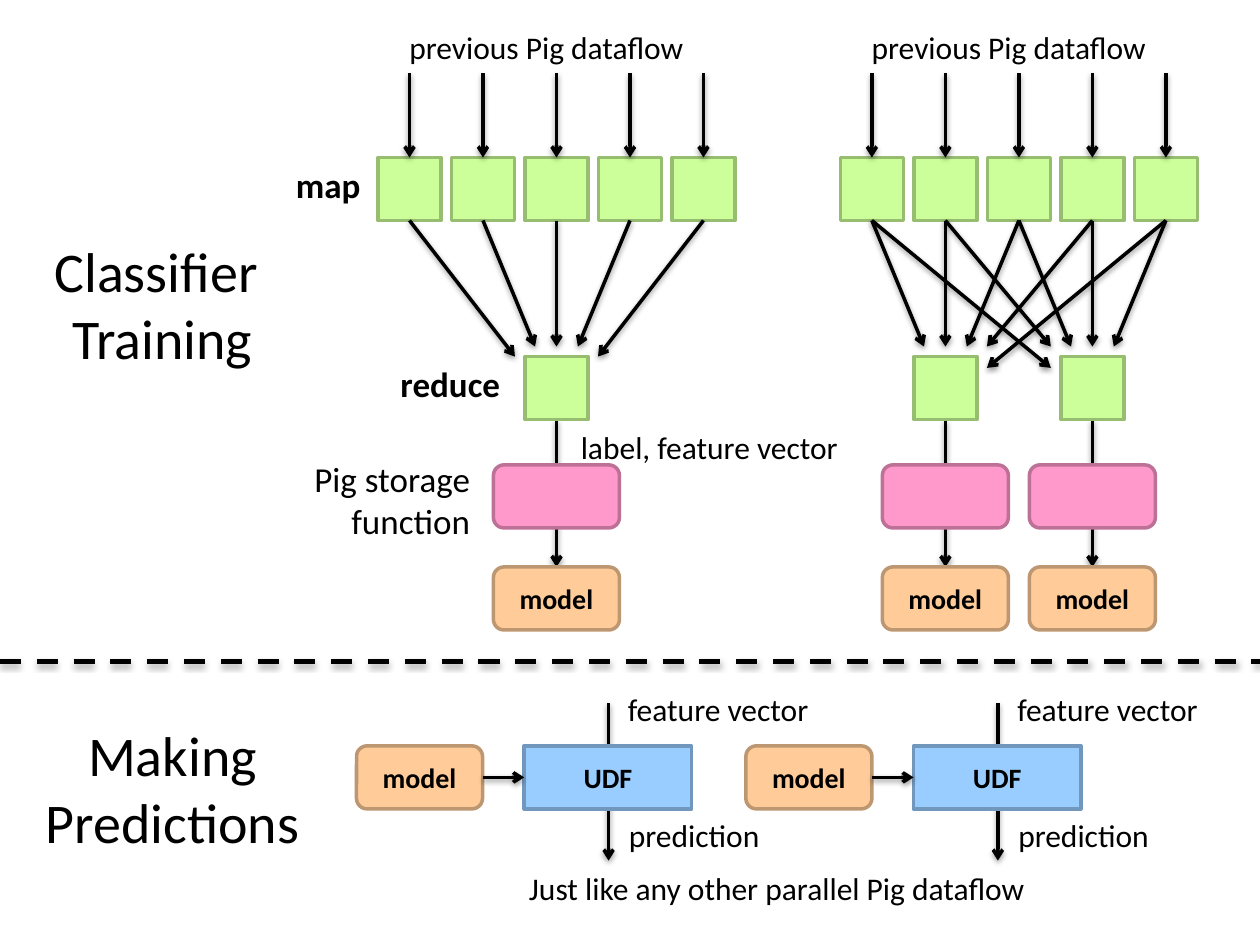
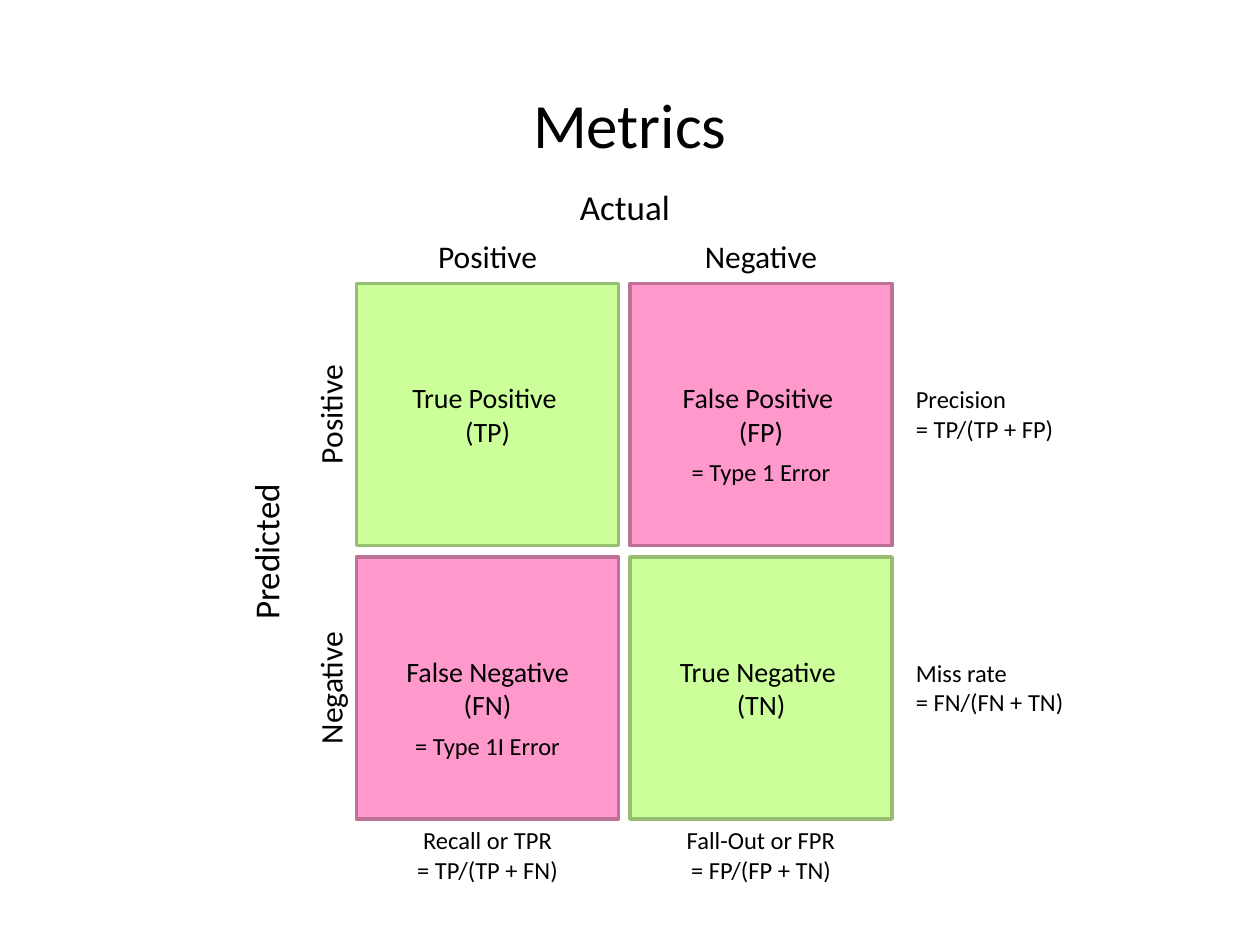
from lxml import etree
from pptx import Presentation
from pptx.dml.color import RGBColor
from pptx.enum.dml import MSO_LINE
from pptx.enum.shapes import MSO_CONNECTOR, MSO_SHAPE
from pptx.enum.text import MSO_ANCHOR, MSO_AUTO_SIZE, PP_ALIGN
from pptx.oxml.ns import qn
from pptx.util import Inches, Pt

RECTANGLE, ROUNDED = MSO_SHAPE.RECTANGLE, MSO_SHAPE.ROUNDED_RECTANGLE
STRAIGHT, DASH = MSO_CONNECTOR.STRAIGHT, MSO_LINE.DASH
LEFT, CENTER, RIGHT = PP_ALIGN.LEFT, PP_ALIGN.CENTER, PP_ALIGN.RIGHT
TOP, MIDDLE = MSO_ANCHOR.TOP, MSO_ANCHOR.MIDDLE
FIT_SHAPE, NO_FIT = MSO_AUTO_SIZE.SHAPE_TO_FIT_TEXT, MSO_AUTO_SIZE.NONE

FONT, BLACK = "Calibri", "000000"
# Fill and outline of each kind of box
GREEN = ("CCFF99", "97BD71")
PINK = ("FF99CC", "BD7197")
ORANGE = ("FFCC99", "BD9771")
BLUE = ("99CCFF", "7197BD")

MAPPERS = 5
PITCH = 7 / 12
BOX = 0.5


def color(hex_string):
    return RGBColor.from_string(hex_string)


def write(frame, text, size=18, bold=False, align=CENTER, anchor=TOP, wrap=True):
    """Fill a text frame: newline starts a paragraph, vertical tab a line."""
    frame.word_wrap = wrap
    frame.vertical_anchor = anchor
    for index, line in enumerate(text.split("\n")):
        paragraph = frame.add_paragraph() if index else frame.paragraphs[0]
        paragraph.text = line
        paragraph.alignment = align
        for run in paragraph.runs:
            run.font.name = FONT
            run.font.size = Pt(size)
            run.font.bold = bold
            run.font.color.rgb = color(BLACK)


class Deck:
    def __init__(self):
        self.presentation = Presentation()
        self.presentation.slide_width = Inches(10)
        self.presentation.slide_height = Inches(7.5)
        self.slide = None

    def new_slide(self):
        self.slide = self.presentation.slides.add_slide(self.presentation.slide_layouts[6])

    def box(self, left, top, width, height, style, kind=RECTANGLE, text="", **text_format):
        shape = self.slide.shapes.add_shape(
            kind, Inches(left), Inches(top), Inches(width), Inches(height))
        fill, outline = style
        shape.shadow.inherit = False
        shape.fill.solid()
        shape.fill.fore_color.rgb = color(fill)
        shape.line.color.rgb = color(outline)
        shape.line.width = Pt(2)
        if text:
            write(shape.text_frame, text, size=16, anchor=MIDDLE, **text_format)

    def label(self, left, top, width, height, text, rotation=0, fit=FIT_SHAPE, **text_format):
        shape = self.slide.shapes.add_textbox(
            Inches(left), Inches(top), Inches(width), Inches(height))
        shape.rotation = rotation
        write(shape.text_frame, text, **text_format)
        shape.text_frame.auto_size = fit

    def line(self, x1, y1, x2, y2, width=2, dashed=False, distance=20000, opacity=38000):
        """Draw a shadowed line: an arrow, or a dashed divider."""
        connector = self.slide.shapes.add_connector(
            STRAIGHT, Inches(x1), Inches(y1), Inches(x2), Inches(y2))
        connector.line.color.rgb = color(BLACK)
        connector.line.width = Pt(width)
        properties = connector._element.spPr
        if dashed:
            connector.line.dash_style = DASH
        else:
            etree.SubElement(properties.find(qn("a:ln")), qn("a:tailEnd"), type="arrow")
        effects = etree.SubElement(properties, qn("a:effectLst"))
        shadow = etree.SubElement(
            effects, qn("a:outerShdw"), blurRad="40000", dist=str(distance),
            dir="5400000", rotWithShape="0")
        shade = etree.SubElement(shadow, qn("a:srgbClr"), val=BLACK)
        etree.SubElement(shade, qn("a:alpha"), val=str(opacity))

    def model(self, left, top):
        self.box(left, top, 1, BOX, ORANGE, ROUNDED, "model", bold=True)

    def training_flow(self, left, reducers, tips):
        """Mappers feeding reducers; tips gives each arrow end by column distance."""
        centers = [left + BOX / 2 + PITCH * column for column in range(MAPPERS)]
        for center in centers:
            self.box(center - BOX / 2, 1.25, BOX, BOX, GREEN)
            self.line(center, 0.58, center, 1.25)
        self.label(left + 0.15, 0.17, 2.6, 0.4, "previous Pig dataflow", align=LEFT, wrap=False)
        for reducer in reducers:
            target = centers[reducer]
            for column, center in enumerate(centers):
                offset, tip_y = tips[abs(column - reducer)]
                side = 1 if column > reducer else -1
                self.line(center, 1.75, target + side * offset, tip_y)
            self.line(target, 3.33, target, 4.5)
            self.box(target - BOX / 2, 2.83, BOX, BOX, GREEN)
            self.box(target - 0.5, 3.69, 1, BOX, PINK, ROUNDED)
            self.model(target - 0.5, 4.5)

    def prediction_flow(self, left):
        middle = left + 2
        self.line(middle, 5.58, middle, 6.83)
        self.model(left, 5.92)
        self.box(left + 1.33, 5.92, 1.33, BOX, BLUE, text="UDF", bold=True)
        self.line(left + 1, 6.17, left + 1.33, 6.17)
        self.label(middle, 5.43, 1.74, 0.4, "feature vector", wrap=False)
        self.label(middle + 0.03, 6.43, 1.3, 0.4, "prediction", wrap=False)


def build_dataflow(deck):
    deck.new_slide()
    # Section names and divider
    deck.label(0.08, 1.83, 2.42, 1.18, "Classifier \vTraining", size=32)
    deck.label(0.08, 5.67, 2.58, 1.18, "Making\vPredictions", size=32)
    deck.line(0, 5.25, 10, 5.25, width=3, dashed=True, distance=23000, opacity=35000)

    # Training with one reducer and with two
    near = [(0, 2.75), (0.17, 2.75)]
    deck.training_flow(3, [2], near + [(0.33, 2.83)])
    deck.training_flow(6.67, [1, 3], near + [(0.33, 2.75), (0.33, 2.92)])
    deck.label(2.25, 1.25, 0.78, 0.44, "map", size=20, bold=True, align=LEFT, wrap=False)
    deck.label(3.08, 2.83, 1.12, 0.44, "reduce", size=20, bold=True, align=LEFT, wrap=False)
    deck.label(4.42, 3.35, 2.42, 0.4, "label, feature vector", wrap=False)
    deck.label(2, 3.58, 1.83, 0.77, "Pig storage function", size=20, align=RIGHT)

    # Predictions
    for left in (2.83, 5.92):
        deck.prediction_flow(left)
    deck.label(4.1, 6.85, 4.56, 0.4, "Just like any other parallel Pig dataflow",
               align=LEFT, wrap=False)


def build_metrics(deck):
    deck.new_slide()
    deck.label(0, 0.6, 10, 0.75, "Metrics", size=36, anchor=MIDDLE, fit=NO_FIT)
    cell = 2.08
    columns, rows = (2.83, 5), (2.25, 4.42)

    # Confusion matrix
    cells = [
        [("True Positive \n(TP)", GREEN, ""), ("False Positive \n(FP)", PINK, "= Type 1 Error")],
        [("False Negative\n(FN)", PINK, "= Type 1I Error"), ("True Negative \n(TN)", GREEN, "")],
    ]
    for top, row in zip(rows, cells):
        for left, (text, style, error) in zip(columns, row):
            deck.box(left, top, cell, cell, style, text=text)
            if error:
                deck.label(left, top + 1.33, cell, 0.34, error, size=14)

    # Axis names
    deck.label(3.92, 1.42, cell, 0.44, "Actual", size=20)
    deck.label(1.07, 4.16, cell, 0.44, "Predicted", size=20, rotation=270)
    for name, left, top in zip(("Positive", "Negative"), columns, rows):
        deck.label(left, 1.83, cell, 0.4, name)
        deck.label(1.58, top + 0.84, cell, 0.4, name, rotation=270)

    # Derived rates beside the rows and below the columns
    row_rates = ("Precision\n= TP/(TP + FP)", "Miss rate\n= FN/(FN + TN)")
    column_rates = ("Recall or TPR\n= TP/(TP + FN)", "Fall-Out or FPR\n= FP/(FP + TN)")
    for top, rate in zip(rows, row_rates):
        deck.label(7.17, top + 0.75, 2.42, 0.57, rate, size=14, align=LEFT)
    for left, rate in zip(columns, column_rates):
        deck.label(left, 6.5, cell, 0.57, rate, size=14)


def main():
    deck = Deck()
    build_dataflow(deck)
    build_metrics(deck)
    deck.presentation.save("out.pptx")


if __name__ == "__main__":
    main()
